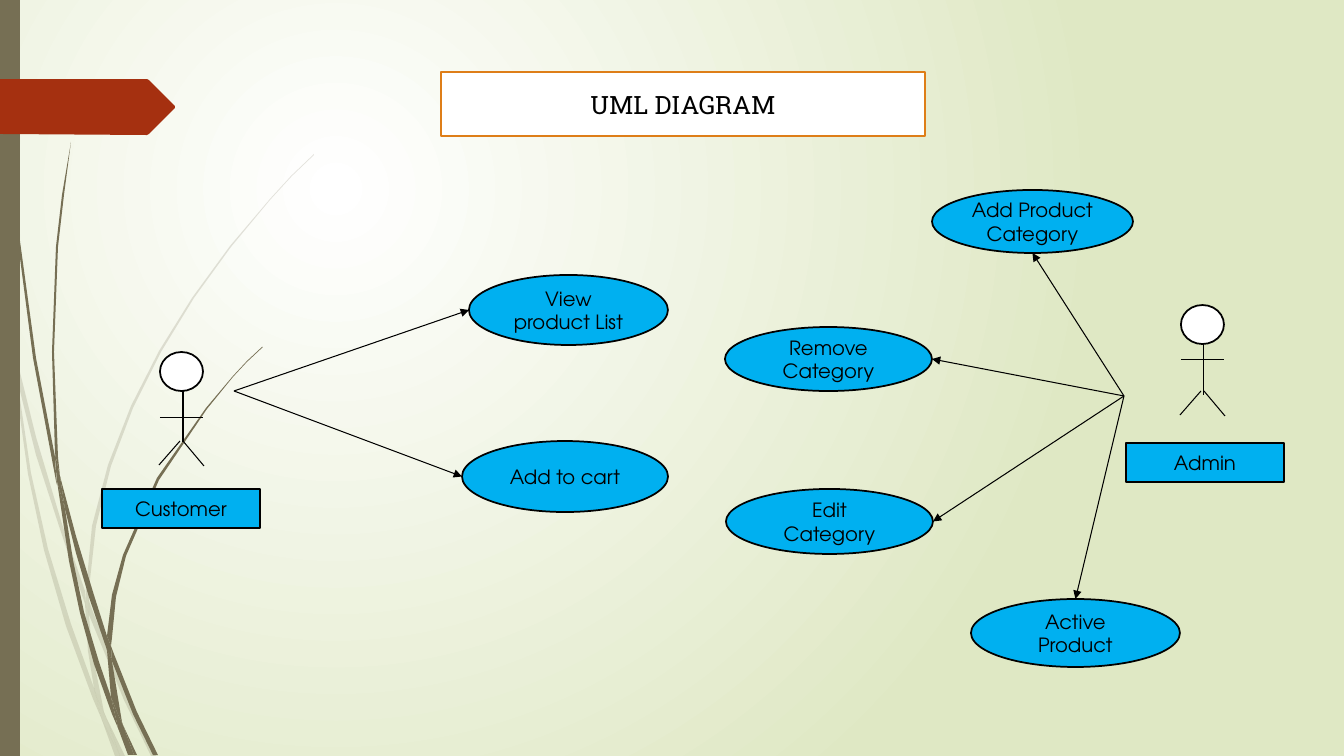
from lxml import etree
from pptx import Presentation
from pptx.dml.color import RGBColor
from pptx.enum.shapes import MSO_CONNECTOR, MSO_SHAPE
from pptx.enum.text import MSO_ANCHOR, MSO_AUTO_SIZE, PP_ALIGN
from pptx.oxml.ns import qn
from pptx.util import Pt

RECT, OVAL = MSO_SHAPE.RECTANGLE, MSO_SHAPE.OVAL
STRAIGHT = MSO_CONNECTOR.STRAIGHT
CENTER, MIDDLE = PP_ALIGN.CENTER, MSO_ANCHOR.MIDDLE

WHITE = RGBColor(0xFF, 0xFF, 0xFF)
BLACK = RGBColor(0, 0, 0)
SAGE = RGBColor(0xDF, 0xE8, 0xC4)
OLIVE = RGBColor(0x76, 0x6F, 0x54)
RUST = RGBColor(0xA5, 0x30, 0x10)
BLUE = RGBColor(0x00, 0xB0, 0xF0)
ORANGE = RGBColor(0xDE, 0x7E, 0x18)

PX = 914400 / 100.8
SLIDE_SIZE = (1344, 756)

# Content: boxes are left, top, width, height in px
TITLE = ("UML DIAGRAM", (441, 72, 484, 64))
SIDE_BAR = (0, 0, 20, 756)
PAGE_FLAG = [(0, 79), (147, 79), (149, 80), (175, 106), (175, 108),
             (149, 134), (147, 135), (0, 134)]

ACTORS = [
    {"name": "Customer", "head": (160, 352), "arm_drop": 66, "hip_drop": 89,
     "label": (102, 489, 158, 39), "hub": (234, 391),
     "cases": [("View product List", (469, 275, 199, 70), "left"),
               ("Add to cart", (462, 441, 206, 71), "left")]},
    {"name": "Admin", "head": (1181, 305), "arm_drop": 55, "hip_drop": 86,
     "label": (1126, 443, 158, 39), "hub": (1124, 396),
     "cases": [("Add Product Category", (932, 190, 201, 63), "bottom"),
               ("Remove Category", (725, 327, 207, 64), "right"),
               ("Edit Category", (726, 489, 207, 65), "right"),
               ("Active Product", (971, 599, 209, 68), "top")]},
]
HEAD_SIZE = (43, 39)

# Grass blades: outline points of each piece
PALE_BLADES = [
    [(11, 353), (9, 325), (0, 284), (0, 301), (10, 347)],
    [(36, 455), (59, 526), (85, 604), (85, 591), (62, 524), (36, 437),
     (14, 348), (17, 379)],
    [(93, 612), (89, 601), (89, 615), (124, 700), (151, 756), (156, 756),
     (128, 698)],
    [(120, 756), (125, 756), (106, 717)],
    [(94, 688), (71, 624), (48, 549), (31, 473), (17, 379), (11, 353),
     (28, 474), (44, 550), (66, 626), (93, 699), (102, 720), (100, 713)],
    [(85, 604), (88, 651), (94, 688), (97, 698), (106, 717), (104, 712),
     (92, 651), (89, 615), (89, 613)],
    [(89, 589), (96, 526), (111, 466), (133, 408), (161, 352), (194, 298),
     (231, 247), (270, 200), (292, 176), (314, 155), (314, 154), (291, 176),
     (270, 199), (230, 246), (192, 298), (159, 351), (131, 406), (108, 465),
     (92, 526), (86, 589), (86, 591), (89, 601)],
    [(102, 720), (115, 756), (120, 756)],
    [(89, 613), (89, 615), (89, 601), (86, 591), (85, 604)],
    [(97, 698), (94, 688), (100, 713), (102, 720), (120, 756), (106, 717)],
]
DARK_BLADES = [
    [(7, 111), (17, 235), (33, 358), (56, 481), (57, 485), (55, 461),
     (55, 457), (36, 358), (19, 234), (8, 110), (5, 48), (4, 0), (3, 0),
     (4, 48)],
    [(76, 553), (89, 597), (107, 650), (107, 638), (107, 636), (94, 595),
     (76, 536), (60, 476), (65, 509)],
    [(114, 654), (111, 646), (112, 661), (133, 714), (153, 755), (158, 755),
     (137, 712)],
    [(111, 697), (99, 662), (84, 612), (73, 560), (65, 509), (57, 481),
     (69, 561), (80, 613), (94, 664), (112, 714), (118, 728), (117, 723)],
    [(60, 476), (58, 457), (54, 352), (58, 247), (64, 195), (71, 142),
     (62, 195), (56, 247), (52, 352), (55, 453)],
    [(134, 755), (137, 755), (123, 725)],
    [(57, 481), (65, 509), (60, 476), (55, 453), (55, 457)],
    [(112, 638), (116, 597), (126, 556), (159, 480), (207, 409), (233, 377),
     (247, 362), (263, 347), (262, 347), (247, 361), (233, 376), (206, 408),
     (157, 478), (123, 555), (112, 595), (107, 636), (111, 646)],
    [(118, 728), (128, 755), (132, 755)],
    [(107, 650), (111, 697), (117, 712), (123, 725), (122, 722), (112, 661),
     (110, 656)],
    [(107, 650), (110, 656), (112, 661), (111, 646), (107, 636), (107, 638)],
    [(117, 712), (111, 697), (117, 723), (118, 728), (131, 755), (134, 755),
     (123, 725)],
]


def emu(*lengths):
    return [round(length * PX) for length in lengths]


def paint(shape, fill, line=None):
    shape.fill.solid()
    shape.fill.fore_color.rgb = fill
    if line is None:
        shape.line.fill.background()
    else:
        shape.line.color.rgb = line
        shape.line.width = Pt(1.25)


def write(shape, text, font_name="TeX Gyre Adventor", size=14):
    frame = shape.text_frame
    frame.text = text
    for key, value in {"word_wrap": True, "vertical_anchor": MIDDLE,
                       "auto_size": MSO_AUTO_SIZE.NONE}.items():
        setattr(frame, key, value)
    paragraph = frame.paragraphs[0]
    paragraph.alignment = CENTER
    font = paragraph.runs[0].font
    for key, value in {"name": font_name, "size": Pt(size)}.items():
        setattr(font, key, value)
    font.color.rgb = BLACK


def add_box(kind, box, fill, line=None, text=None):
    shape = slide.shapes.add_shape(kind, *emu(*box))
    shape.shadow.inherit = False
    paint(shape, fill, line)
    if text:
        write(shape, text)


def add_stroke(start, end, arrow=False):
    stroke = slide.shapes.add_connector(STRAIGHT, *emu(*start, *end))
    stroke.line.color.rgb = BLACK
    stroke.line.width = Pt(0.75)
    if arrow:
        etree.SubElement(stroke.line._get_or_add_ln(), qn("a:tailEnd"),
                         type="triangle")
    etree.SubElement(stroke._element.spPr, qn("a:effectLst"))


def add_outline(points, fill, opacity=100):
    first, *rest = [emu(*point) for point in points]
    builder = slide.shapes.build_freeform(*first)
    builder.add_line_segments(rest, close=True)
    outline = builder.convert_to_shape()
    outline.shadow.inherit = False
    paint(outline, fill)
    if opacity < 100:
        color = outline._element.spPr.find(".//" + qn("a:srgbClr"))
        etree.SubElement(color, qn("a:alpha"), val=str(opacity * 1000))


def side_middle(box, side):
    left, top, width, height = box
    return {"left": (left, top + height / 2),
            "right": (left + width, top + height / 2),
            "top": (left + width / 2, top),
            "bottom": (left + width / 2, top + height)}[side]


prs = Presentation()
prs.slide_width, prs.slide_height = emu(*SLIDE_SIZE)
slide = prs.slides.add_slide(prs.slide_layouts[5])

# Background: radial glow from the upper left
backdrop = slide.background.fill
backdrop.gradient()
for stop, color, position in zip(backdrop.gradient_stops, (WHITE, SAGE), (0, 1)):
    stop.color.rgb = color
    stop.position = position
linear = slide._element.find(".//" + qn("a:lin"))
radial = etree.Element(qn("a:path"), {"path": "circle"})
etree.SubElement(radial, qn("a:fillToRect"),
                 l="50000", t="50000", r="100000", b="100000")
linear.getparent().replace(linear, radial)

# Decoration on the left edge
for blades, opacity in ((PALE_BLADES, 20), (DARK_BLADES, 100)):
    for blade in blades:
        add_outline(blade, OLIVE, opacity)
add_box(RECT, SIDE_BAR, OLIVE)
add_outline(PAGE_FLAG, RUST)

# Title
heading, heading_box = TITLE
title = slide.shapes.title
title.left, title.top, title.width, title.height = emu(*heading_box)
paint(title, WHITE, ORANGE)
write(title, heading, "Roboto Slab", 18)

# Actors with their use cases
for actor in ACTORS:
    x, y = actor["head"]
    arm, hip = y + actor["arm_drop"], y + actor["hip_drop"]
    head_width, head_height = HEAD_SIZE
    add_box(OVAL, (x, y, *HEAD_SIZE), WHITE, BLACK)
    add_stroke((x + 23, y + head_height), (x + 23, y + 90))
    add_stroke((x, arm), (x + head_width, arm))
    add_stroke((x + 20, hip), (x - 1, hip + 24))
    add_stroke((x + 23, hip), (x + 44, hip + 25))
    add_box(RECT, actor["label"], BLUE, BLACK, actor["name"])
    for case, case_box, side in actor["cases"]:
        add_box(OVAL, case_box, BLUE, BLACK, case)
        add_stroke(actor["hub"], side_middle(case_box, side), arrow=True)

prs.save("out.pptx")
